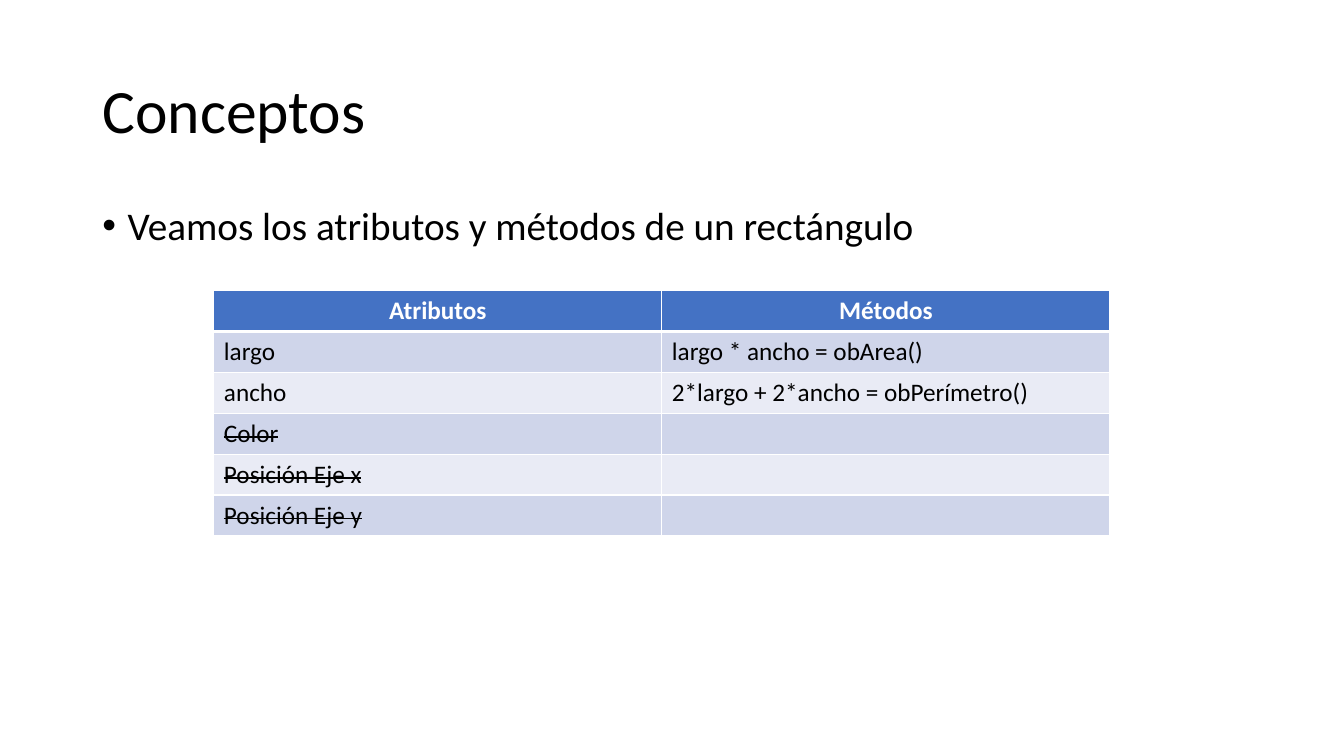
import pptx
import pptx.dml.color
import pptx.enum.text
import pptx.oxml
import pptx.oxml.ns
import pptx.util

Pt = pptx.util.Pt
ALIGN = pptx.enum.text.PP_ALIGN
ANCHOR = pptx.enum.text.MSO_ANCHOR

FONT = "Calibri"
BLACK, WHITE = "000000", "FFFFFF"
HEADER_FILL = "4472C4"
BAND_FILLS = ("CFD5EA", "E9EBF5")

HEADERS = ("Atributos", "Métodos")
ROWS = (
    ("largo", "largo * ancho = obArea()"),
    ("ancho", "2*largo + 2*ancho = obPerímetro()"),
    ("Color", ""),
    ("Posición Eje x", ""),
    ("Posición Eje y", ""),
)
DISCARDED = {"Color", "Posición Eje x", "Posición Eje y"}


def color(hex_value):
    return pptx.dml.color.RGBColor.from_string(hex_value)


def format_runs(para, size, hex_value, bold=False, strike=False):
    for span in para.runs:
        span.font.name = FONT
        span.font.size = Pt(size)
        span.font.bold = bold
        span.font.color.rgb = color(hex_value)
        if strike:
            span._r.get_or_add_rPr().set("strike", "sngStrike")


def fill_placeholder(box, text, top, height, size, anchor):
    """Place the placeholder, write its one paragraph and return it."""
    box.left, box.top, box.width, box.height = Pt(66), Pt(top), Pt(828), Pt(height)
    frame = box.text_frame
    frame.text = text
    frame.word_wrap = True
    frame.auto_size = pptx.enum.text.MSO_AUTO_SIZE.NONE
    frame.vertical_anchor = anchor
    para = frame.paragraphs[0]
    para.alignment = ALIGN.LEFT
    para.line_spacing = 0.9
    format_runs(para, size, BLACK)
    return para


def add_bullet(para, indent):
    properties = para._p.get_or_add_pPr()
    properties.set("marL", str(Pt(indent)))
    properties.set("indent", str(-Pt(indent)))
    namespace = pptx.oxml.ns.nsdecls("a")
    properties.append(pptx.oxml.parse_xml(f'<a:buFont {namespace} typeface="Arial"/>'))
    properties.append(pptx.oxml.parse_xml(f'<a:buChar {namespace} char="•"/>'))


def set_borders(cell, top, bottom):
    """Draw white borders; call before filling, as the schema wants lines first."""
    properties = cell._tc.get_or_add_tcPr()
    for side, width in (("L", 1), ("R", 1), ("T", top), ("B", bottom)):
        properties.append(pptx.oxml.parse_xml(
            f'<a:ln{side} {pptx.oxml.ns.nsdecls("a")} w="{Pt(width)}">'
            f'<a:solidFill><a:srgbClr val="{WHITE}"/></a:solidFill></a:ln{side}>'))


def fill_cell(cell, text, row):
    is_header = row == 0
    set_borders(cell, top=3 if row == 1 else 1, bottom=3 if is_header else 1)
    cell.fill.solid()
    cell.fill.fore_color.rgb = color(HEADER_FILL if is_header else BAND_FILLS[(row - 1) % 2])
    if not text:
        return
    cell.text_frame.text = text
    para = cell.text_frame.paragraphs[0]
    para.alignment = ALIGN.CENTER if is_header else ALIGN.LEFT
    format_runs(para, 18, WHITE if is_header else BLACK, is_header, text in DISCARDED)


def add_members_table(page):
    lines = (HEADERS,) + ROWS
    row_height = 29.2
    table = page.shapes.add_table(
        len(lines), len(HEADERS), Pt(152.8), Pt(207.6),
        Pt(640), Pt(row_height * len(lines))).table
    for row, texts in enumerate(lines):
        table.rows[row].height = Pt(row_height)
        for column, text in enumerate(texts):
            fill_cell(table.cell(row, column), text, row)


def main():
    deck = pptx.Presentation()
    deck.slide_width, deck.slide_height = Pt(960), Pt(540)
    page = deck.slides.add_slide(deck.slide_layouts[1])
    fill_placeholder(page.shapes.title, "Conceptos", 28.75, 104.4, 44, ANCHOR.MIDDLE)
    para = fill_placeholder(
        page.placeholders[1], "Veamos los atributos y métodos de un rectángulo",
        143.75, 342.6, 28, ANCHOR.TOP)
    para.space_before = Pt(10)
    add_bullet(para, 18)
    add_members_table(page)
    deck.save("out.pptx")


if __name__ == "__main__":
    main()
